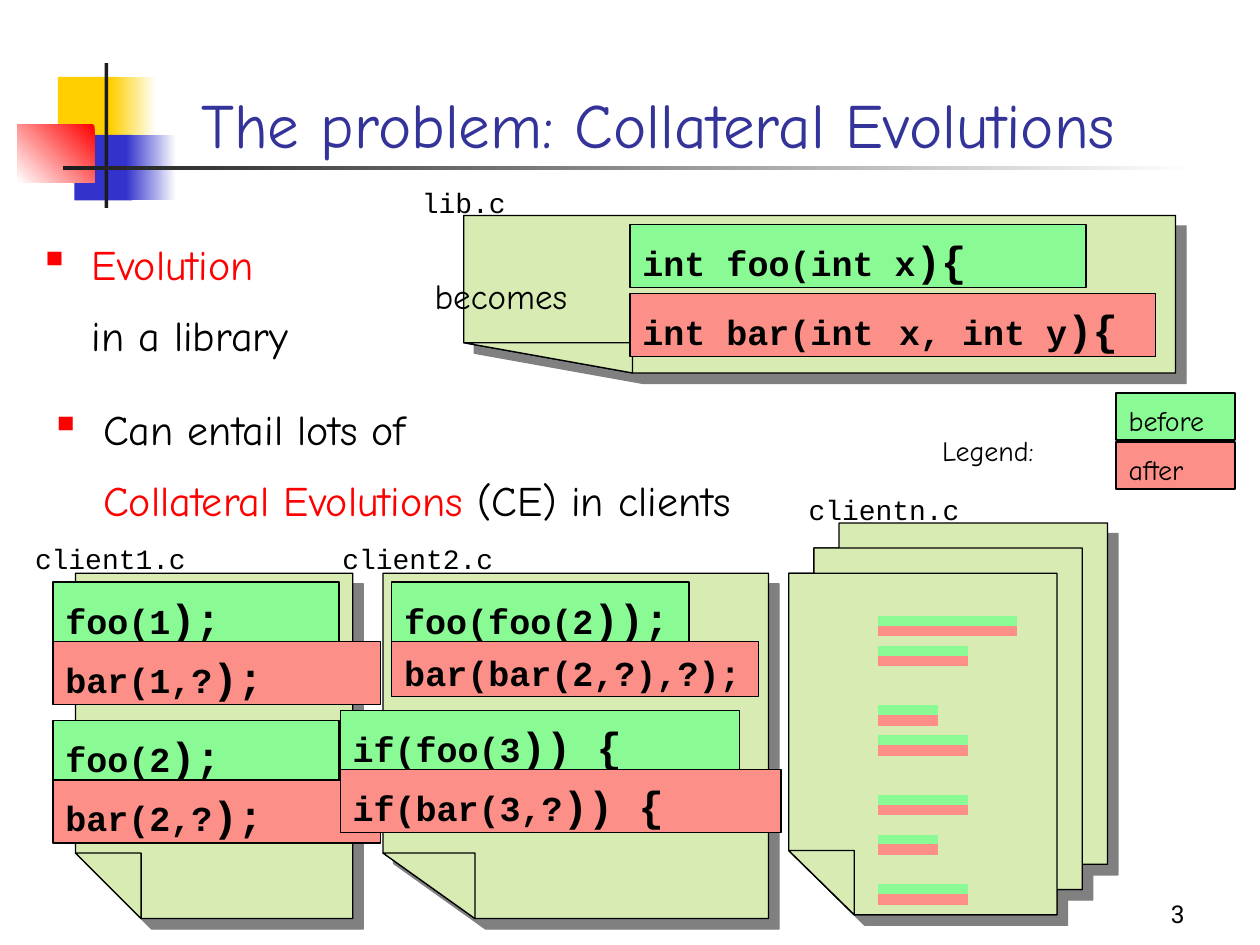
import pptx
import pptx.dml.color
import pptx.enum.shapes
import pptx.enum.text
import pptx.oxml
import pptx.oxml.ns
import pptx.util
from lxml import etree

HAND, CODE, NUMBER = "Comic Neue", "Courier New", "Roboto"
BLACK, RED, PAPER = "000000", "FF0000", "D8EBB3"
COLOURS = {"before": "8AFA95", "after": "FC9088"}

# Content: decoration blocks as left, top, width, height, colours, angle
DECORATION = [
    (0.46, 0.61, 0.48, 0.52, ["FFCF01"], 0),
    (0.88, 0.61, 0.36, 0.52, ["FFFFFF", "FFCF01"], 180),
    (0.59, 1.07, 0.46, 0.52, ["3333CC"], 0),
    (1.00, 1.07, 0.40, 0.52, ["FFFFFF", "3333CC"], 180),
    (0.14, 0.99, 0.61, 0.46, ["FF0000", "FFFFFF"], 225),
    (0.83, 0.50, 0.03, 1.15, ["1C1C1C"], 0),
    (0.50, 1.32, 9.00, 0.03, ["FFFFFF", "1C1C1C"], 180),
]

# Pages as left, top, right, bottom, fold x, fold y
PAGES = [
    (0.60, 4.55, 2.80, 7.29, 1.12, 6.77),
    (3.68, 1.71, 9.33, 2.96, 5.02, 2.72),
    (3.04, 4.55, 6.10, 7.29, 3.77, 6.77),
]
STACK = (6.26, 4.55, 8.39, 7.26, 6.78, 6.75)
STACK_STEP = 0.2

FILE_NAMES = [("lib.c", 3.25, 1.39), ("client1.c", 0.18, 4.22),
              ("client2.c", 2.62, 4.22), ("clientn.c", 6.32, 3.83)]

# Code pairs: left, top, step, then width and (text, size) runs before and after
CODE_PAIRS = [
    (5.00, 1.78, 0.55, 3.62, [("int foo(int x", 20), ("){", 24)],
     4.17, [("int bar(int", 20), (" ", 24), ("x, int y", 20), ("){", 24)]),
    (0.42, 4.62, 0.47, 2.27, [("foo(1", 20), (");", 24)],
     2.60, [("bar(1,?", 20), (");", 24)]),
    (3.11, 4.62, 0.47, 2.36, [("foo(foo(2", 20), ("));", 24)],
     2.91, [("bar(bar(2,?),?);", 20)]),
    (0.42, 5.72, 0.47, 2.27, [("foo(2", 20), (");", 24)],
     2.60, [("bar(2,?", 20), (");", 24)]),
    (2.70, 5.64, 0.47, 3.17, [("if(foo(3", 20), (")) {", 24)],
     3.50, [("if(bar(3,?", 20), (")) {", 24)]),
]

BULLETS = [
    (0.21, 1.81, 3.13, [[("Evolution", RED)], [("in a library", BLACK)]]),
    (0.30, 3.12, 6.45, [[("Can entail lots of", BLACK)],
                        [("Collateral Evolutions ", RED), ("(CE) in clients", BLACK)]]),
]

# Changed lines in the last client: row and length, in units of the page grid
CHANGES = [(0, 14), (3, 9), (9, 6), (12, 9), (18, 9), (22, 6), (27, 9)]
CHANGE_LEFT, CHANGE_TOP, CHANGE_UNIT = 6.97, 4.93, (7.06 - 4.93) / 27

inches = pptx.util.Inches
presentation = pptx.Presentation()
presentation.slide_width, presentation.slide_height = inches(10), inches(7.5)
slide = presentation.slides.add_slide(presentation.slide_layouts[6])


def colour(value):
    return pptx.dml.color.RGBColor.from_string(value)


def paint(shape, fills, line=None, line_width=0.75, angle=0):
    shape.shadow.inherit = False
    if len(fills) == 1:
        shape.fill.solid()
        shape.fill.fore_color.rgb = colour(fills[0])
    else:
        shape.fill.gradient()
        shape.fill.gradient_angle = angle
        for stop, value in zip(shape.fill.gradient_stops, fills):
            stop.color.rgb = colour(value)
    if line:
        shape.line.color.rgb = colour(line)
        shape.line.width = pptx.util.Pt(line_width)
    else:
        shape.line.fill.background()


def add_block(left, top, width, height, fills, **style):
    shape = slide.shapes.add_shape(pptx.enum.shapes.MSO_SHAPE.RECTANGLE,
                                   *map(inches, (left, top, width, height)))
    paint(shape, fills, **style)
    return shape


def add_box(left, top, width, height):
    return slide.shapes.add_textbox(*map(inches, (left, top, width, height)))


def write(shape, paragraphs, font=HAND, size=16, color=BLACK, bold=False, bullet=False,
          anchor="TOP", align="LEFT", inset=0.08):
    """Each paragraph is a list of runs: (text, {size, color})."""
    frame = shape.text_frame
    frame.word_wrap = True
    frame.vertical_anchor = getattr(pptx.enum.text.MSO_ANCHOR, anchor)
    frame.margin_top = inches(inset)
    for index, runs in enumerate(paragraphs):
        paragraph = frame.add_paragraph() if index else frame.paragraphs[0]
        paragraph.alignment = getattr(pptx.enum.text.PP_ALIGN, align)
        if index:
            paragraph.space_before = pptx.util.Pt(12)
        if bullet:
            properties = paragraph._p.get_or_add_pPr()
            properties.set("marL", str(inches(0.42)))
            properties.set("indent", str(0 if index else -inches(0.42)))
            if index == 0:
                mark = etree.SubElement(properties, pptx.oxml.ns.qn("a:buClr"))
                etree.SubElement(mark, pptx.oxml.ns.qn("a:srgbClr"), val=RED)
                etree.SubElement(properties, pptx.oxml.ns.qn("a:buChar"), char="▪")
        for text, style in runs:
            run = paragraph.add_run()
            run.text = text
            run.font.name, run.font.bold = font, bold
            run.font.size = pptx.util.Pt(style.get("size", size))
            run.font.color.rgb = colour(style.get("color", color))


def add_outline(points, shadow=False):
    (first, *rest) = [(inches(x), inches(y)) for x, y in points]
    builder = slide.shapes.build_freeform(*first, scale=1.0)
    builder.add_line_segments(rest, close=True)
    shape = builder.convert_to_shape()
    paint(shape, [PAPER], line=BLACK)
    if shadow:
        effects = shape._element.spPr.find(pptx.oxml.ns.qn("a:effectLst"))
        outer = etree.SubElement(effects, pptx.oxml.ns.qn("a:outerShdw"), blurRad="0",
                                 dist=str(pptx.util.Pt(8.5)), dir="2700000", algn="ctr",
                                 rotWithShape="0")
        etree.SubElement(outer, pptx.oxml.ns.qn("a:srgbClr"), val="808080")


def add_page(left, top, right, bottom, fold_x, fold_y, behind=0):
    """A page with a folded corner and a number of sheets showing behind it."""
    offsets = [STACK_STEP * sheet for sheet in range(behind + 1)]
    outline = [(fold_x, bottom), (left, fold_y), (left, top)]
    for offset in offsets[1:]:
        outline += [(left + offset, top - offset + STACK_STEP), (left + offset, top - offset)]
    for offset in reversed(offsets):
        outline += [(right + offset, top - offset)] if offset == offsets[-1] else [
            (right + offset + STACK_STEP, bottom - offset - STACK_STEP),
            (right + offset, bottom - offset - STACK_STEP)]
        outline.append((right + offset, bottom - offset))
    add_outline(outline, shadow=True)
    for offset in reversed(offsets[:-1]):
        add_outline([(left + offset, top - offset), (right + offset, top - offset),
                     (right + offset, bottom - offset), (fold_x + offset, bottom - offset),
                     (left + offset, fold_y - offset)])
    add_outline([(left, fold_y), (fold_x, fold_y), (fold_x, bottom)])


# Decoration and title
for left, top, width, height, fills, angle in DECORATION:
    add_block(left, top, width, height, fills, angle=angle)
write(add_box(1.5, 0.08, 8.52, 1.25), [[("The problem: Collateral Evolutions", {})]],
      size=36, color="333399", anchor="BOTTOM", inset=0.05)

# Pages and file names
add_page(*STACK, behind=2)
for page in PAGES:
    add_page(*page)
for name, left, top in FILE_NAMES:
    write(add_box(left, top, 2.23, 0.37), [[(name, {})]], font=CODE)

# Bullets
for left, top, width, lines in BULLETS:
    write(add_box(left, top, width, 1.07),
          [[(text, {"color": value}) for text, value in line] for line in lines],
          size=24, bullet=True)
write(add_box(3.35, 2.1, 2.09, 0.44), [[("becomes", {})]], size=20)

# Code before and after
for left, top, step, width_before, before, width_after, after in CODE_PAIRS:
    for row, (kind, width, runs) in enumerate([("before", width_before, before),
                                               ("after", width_after, after)]):
        height = 0.5 if runs[-1][1] == 24 else 0.44
        block = add_block(left, top + row * step, width, height, [COLOURS[kind]], line=BLACK)
        write(block, [[(text, {"size": size}) for text, size in runs]], font=CODE, bold=True)

# Changed lines in the last client
for row, length in CHANGES:
    for offset, kind in enumerate(COLOURS):
        y = inches(CHANGE_TOP + (row + offset) * CHANGE_UNIT)
        line = slide.shapes.add_connector(
            pptx.enum.shapes.MSO_CONNECTOR.STRAIGHT, inches(CHANGE_LEFT), y,
            inches(CHANGE_LEFT + length * CHANGE_UNIT), y)
        line.line.color.rgb = colour(COLOURS[kind])
        line.line.width = pptx.util.Pt(6)
        etree.SubElement(line._element.spPr, pptx.oxml.ns.qn("a:effectLst"))

# Legend and slide number
write(add_box(7.38, 3.36, 1.76, 0.37), [[("Legend:", {})]])
for row, (kind, fill) in enumerate(COLOURS.items()):
    block = add_block(8.86, 3.12 + row * 0.39, 0.94, 0.37, [fill], line=BLACK, line_width=1)
    write(block, [[(kind, {})]])
write(add_box(7.42, 6.92, 2.08, 0.5), [[("3", {})]], font=NUMBER, size=14,
      anchor="BOTTOM", align="RIGHT")

presentation.save("out.pptx")
